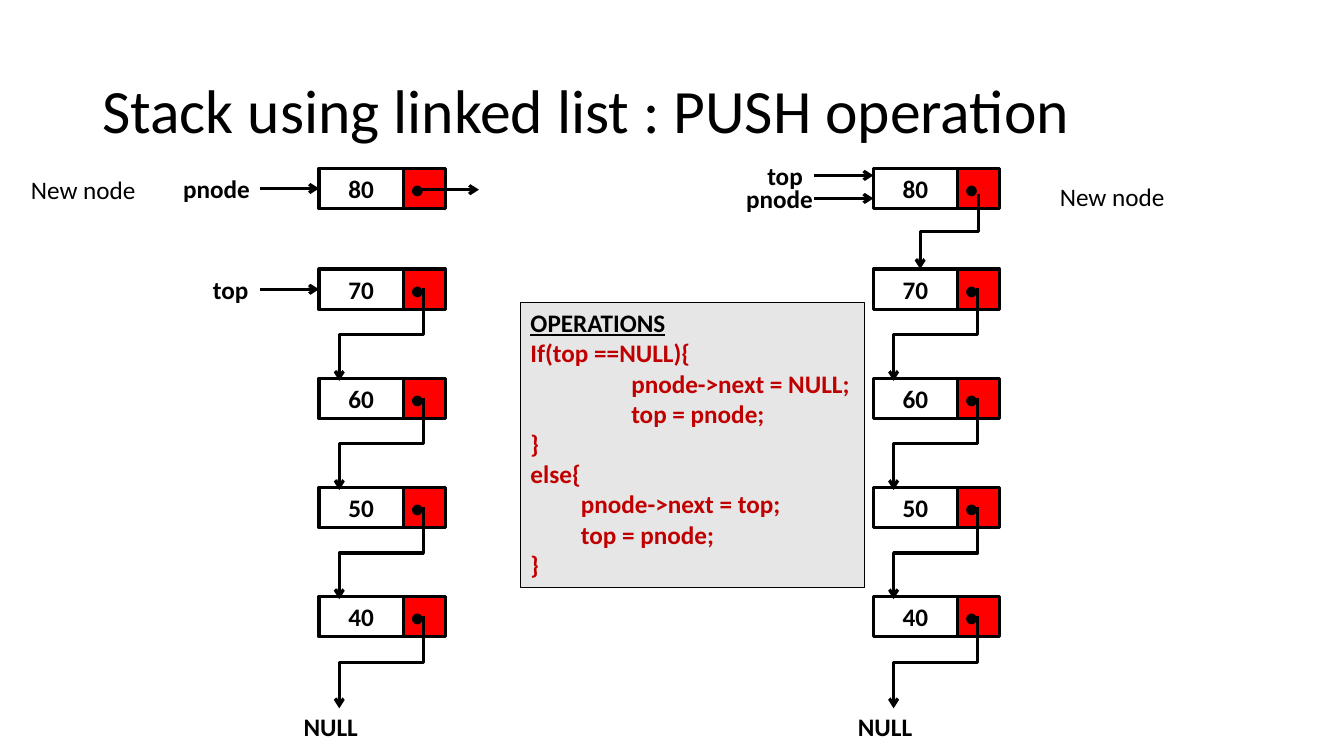
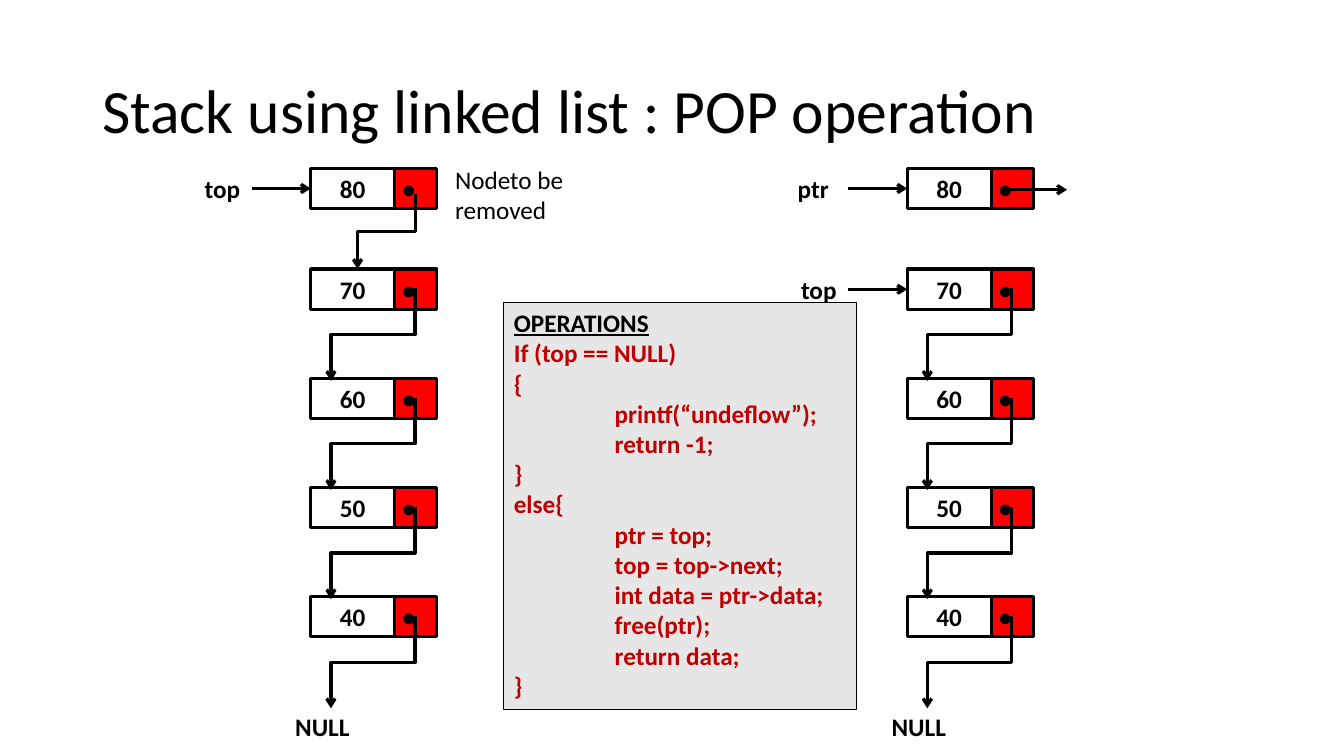
from lxml import etree
from pptx import Presentation
from pptx import util as u
from pptx.dml import color
from pptx.enum import shapes, text
from pptx.oxml import ns

COLORS = {"ink": "000000", "link": "FF0000", "code": "C00000", "panel": "E7E6E6"}
FONT = "Calibri"

# Stack geometry, in centimetres
CELL_W, LINK_W, CELL_H = 2.12, 1.06, 1.02
NEW_Y, FIRST_Y, PITCH = 4.24, 6.78, 2.75
ARROW = 1.49
VALUES = ["70", "60", "50", "40"]


def rgb(name):
    return color.RGBColor.from_string(COLORS[name])


def write(tf, content, size=18, bold=True, ink="ink", align="LEFT",
          underline=False, indent=0, spacing=None, new=False):
    """Write one formatted paragraph, in a new paragraph if asked."""
    p = tf.add_paragraph() if new else tf.paragraphs[0]
    p.alignment = getattr(text.PP_ALIGN, align)
    if spacing:
        p.line_spacing = spacing
    if indent:
        p._p.get_or_add_pPr().set("marL", str(u.Cm(indent)))
    r = p.add_run()
    r.text = content
    r.font.name, r.font.size = FONT, u.Pt(size)
    r.font.bold, r.font.underline = bold, underline
    r.font.color.rgb = rgb(ink)


class Deck:
    """Holds the presentation, its style and the current slide."""

    def __init__(self):
        self.prs = Presentation()
        self.prs.slide_width, self.prs.slide_height = u.Cm(33.87), u.Cm(19.05)
        self.s = None

    def slide(self, title):
        self.s = self.prs.slides.add_slide(self.prs.slide_layouts[6])
        self.label(title, 2.33, 1.01, 29.21, 3.68, anchor="MIDDLE",
                   size=44, bold=False, spacing=0.9)

    def label(self, content, x, y, w, h=CELL_H, anchor="TOP", **style):
        tf = self.s.shapes.add_textbox(*map(u.Cm, (x, y, w, h))).text_frame
        tf.word_wrap = True
        tf.vertical_anchor = getattr(text.MSO_ANCHOR, anchor)
        write(tf, content, **style)

    def box(self, x, y, w, h, fill=None, width=2.25, anchor="MIDDLE"):
        sp = self.s.shapes.add_shape(shapes.MSO_SHAPE.RECTANGLE,
                                     *map(u.Cm, (x, y, w, h)))
        sp.shadow.inherit = False
        if fill:
            sp.fill.solid()
            sp.fill.fore_color.rgb = rgb(fill)
        else:
            sp.fill.background()
        sp.line.color.rgb, sp.line.width = rgb("ink"), u.Pt(width)
        sp.text_frame.word_wrap = True
        sp.text_frame.vertical_anchor = getattr(text.MSO_ANCHOR, anchor)
        return sp

    def arrow(self, x1, y1, x2, y2, kind="STRAIGHT"):
        c = self.s.shapes.add_connector(getattr(shapes.MSO_CONNECTOR, kind),
                                        *map(u.Cm, (x1, y1, x2, y2)))
        c.line.color.rgb, c.line.width = rgb("ink"), u.Pt(2.25)
        etree.SubElement(c.line._get_or_add_ln(), ns.qn("a:tailEnd"), type="arrow")
        etree.SubElement(c._element.spPr, ns.qn("a:effectLst"))
        return c

    def bend(self, x1, y1, x2, y2):
        """Elbow arrow that leaves downwards: a level elbow turned by 90 degrees."""
        cx, cy = (x1 + x2) / 2, (y1 + y2) / 2
        half_w, half_h = (y2 - y1) / 2, (x1 - x2) / 2
        c = self.arrow(cx - half_w, cy - half_h, cx + half_w, cy + half_h, "ELBOW")
        c._element.spPr.xfrm.set("rot", "5400000")

    def node(self, value, x, y):
        cell = self.box(x, y, CELL_W, CELL_H)
        write(cell.text_frame, value, align="CENTER")
        link = self.box(x + CELL_W, y, LINK_W, CELL_H, "link")
        link.text_frame.margin_left = u.Cm(0.2)
        write(link.text_frame, "•")
        return cell

    def stack(self, x, linked):
        """Draw a list whose new node is linked or loose; return its top two cells."""
        cells = []
        for i, value in enumerate(VALUES):
            y = FIRST_Y + i * PITCH
            cells.append(self.node(value, x, y))
            self.bend(x + 2.63, y + 0.49, x + 0.51, y + 2.82)
        self.label("NULL", x - 0.64, 17.81, 2.97)
        new = self.node("80", x, NEW_Y)
        if linked:
            self.bend(x + 2.65, NEW_Y + 0.64, x + 1.18, FIRST_Y)
        else:
            y = NEW_Y + 0.54
            self.arrow(x + 2.54, y, x + 2.54 + ARROW, y)
        return new, cells[0]

    def pointer(self, name, cell, gap=3.39, shift=None):
        """Name a pointer to a cell; a shift moves it off the cell's middle."""
        x, y = cell.left.cm, cell.top.cm + (shift or 0)
        mid = y + CELL_H / 2
        c = self.arrow(x - ARROW, mid, x, mid)
        if shift is None:
            c.end_connect(cell, 1)
        self.label(name, x - gap, y, 2.33, align="CENTER")

    def operations(self, x, w, h, lines):
        tf = self.box(x, 7.62, w, h, "panel", 0.75, "TOP").text_frame
        write(tf, "OPERATIONS", underline=True)
        for content, indent in lines:
            write(tf, content, ink="code", indent=indent, new=True)


def main():
    deck = Deck()
    half, full = 1.27, 2.54

    # Push: before on the left, after on the right
    deck.slide("Stack using linked list : PUSH operation")
    new, first = deck.stack(8.04, linked=False)
    deck.pointer("top", first)
    deck.pointer("pnode", new, gap=3.75)
    deck.label("New node", 0.53, 4.27, 4.02, bold=False)
    new, first = deck.stack(22.01, linked=True)
    deck.pointer("top", new, shift=-0.33)
    deck.pointer("pnode", new, gap=3.53, shift=0.25)
    deck.label("New node", 26.46, 4.45, 4.02, bold=False)
    deck.operations(13.12, 8.67, 7.19, [
        ("If(top ==NULL){", 0),
        ("pnode->next = NULL;", full),
        ("top = pnode;", full),
        ("}", 0),
        ("else{", 0),
        ("pnode->next = top;", half),
        ("top = pnode;", half),
        ("}", 0),
    ])

    # Pop: before on the left, after on the right
    deck.slide("Stack using linked list : POP operation")
    new, first = deck.stack(22.86, linked=False)
    deck.pointer("top", first)
    deck.pointer("ptr", new, gap=3.53)
    new, first = deck.stack(7.83, linked=True)
    deck.pointer("top", new)
    deck.label("Nodeto be removed", 11.22, 4.02, 4.02, 1.8, bold=False)
    deck.operations(12.7, 8.89, 10.26, [
        ("If (top == NULL)", 0),
        ("{", 0),
        ("printf(“undeflow”);", full),
        ("return -1;", full),
        ("}", 0),
        ("else{", 0),
        ("ptr = top;", full),
        ("top = top->next;", full),
        ("int data = ptr->data;", full),
        ("free(ptr);", full),
        ("return data;", full),
        ("}", 0),
    ])
    deck.prs.save("out.pptx")


if __name__ == "__main__":
    main()
